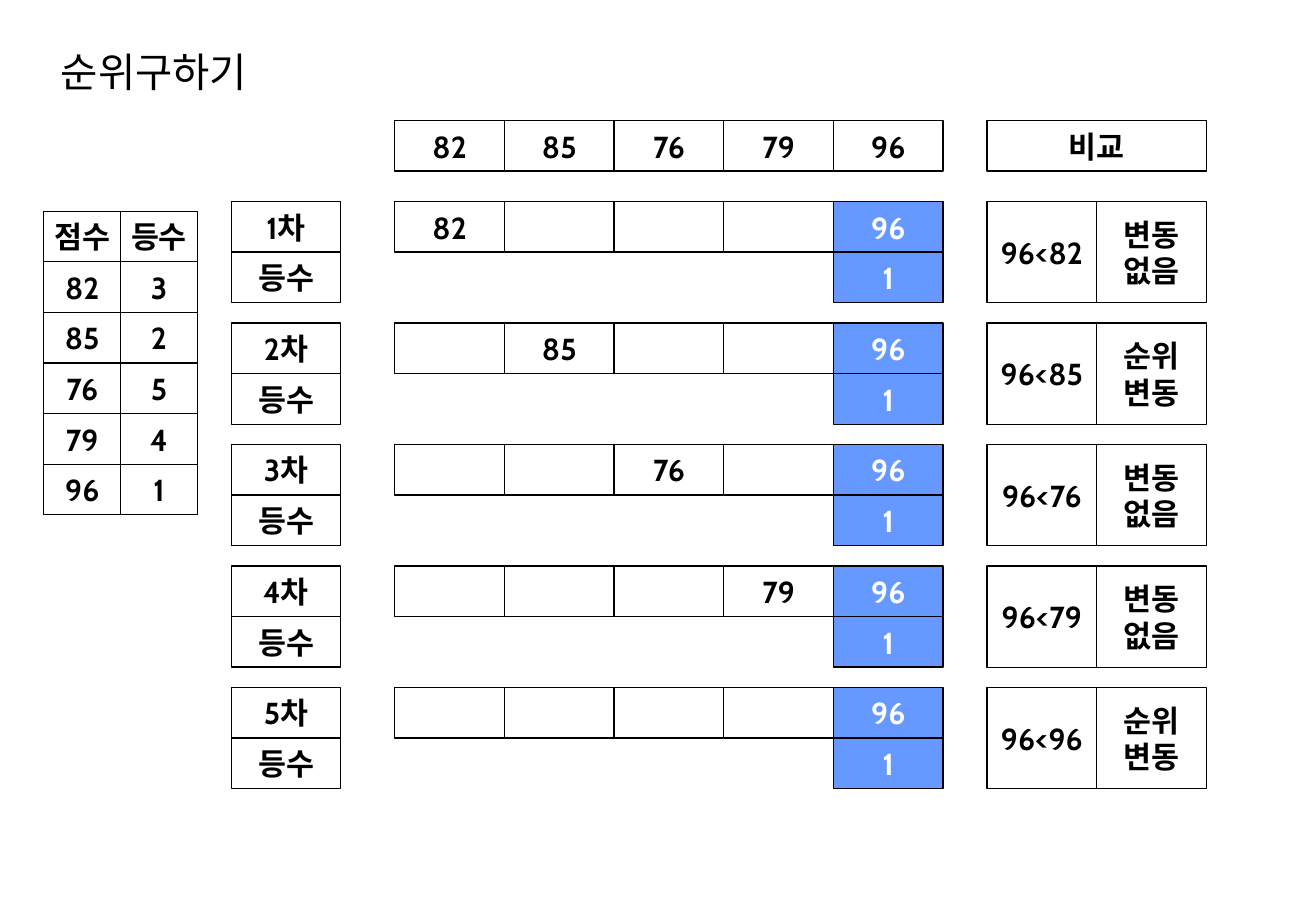
import lxml.etree
import pptx
import pptx.dml.color
import pptx.enum.shapes
import pptx.enum.text
import pptx.oxml.ns
import pptx.util

Pt = pptx.util.Pt
COLORS = {"black": "000000", "white": "FFFFFF", "blue": "6699FF"}
KOREAN_FONT = "Noto Sans CJK KR"
CELL_WIDTH, CELL_HEIGHT = 65, 30
LABEL_LEFT, ARRAY_LEFT, COMPARE_LEFT = 137, 234, 585
HEADER_TOP, ROUND_TOP, ROUND_STEP = 71.5, 119.5, 72
RANK_LEFT, RANK_TOP, RANK_WIDTH = 26, 125.25, 45.5


def write_text(shape, text, font_name, size, color, bold, alignment):
    shape.text_frame.text = text
    shape.text_frame.vertical_anchor = pptx.enum.text.MSO_ANCHOR.MIDDLE
    for para in shape.text_frame.paragraphs:
        para.alignment = alignment
        para.font.name = font_name
        para.font.size = Pt(size)
        para.font.bold = bold
        para.font.color.rgb = pptx.dml.color.RGBColor.from_string(COLORS[color])
        defaults = para._p.pPr.find(pptx.oxml.ns.qn("a:defRPr"))
        east_asian = lxml.etree.SubElement(defaults, pptx.oxml.ns.qn("a:ea"))
        east_asian.set("typeface", KOREAN_FONT)


def add_cell(left, top, text="", width=CELL_WIDTH, height=CELL_HEIGHT, fill="white", color="black"):
    cell = page.shapes.add_shape(
        pptx.enum.shapes.MSO_SHAPE.RECTANGLE, Pt(left), Pt(top), Pt(width), Pt(height)
    )
    cell.shadow.inherit = False
    cell.fill.solid()
    cell.fill.fore_color.rgb = pptx.dml.color.RGBColor.from_string(COLORS[fill])
    cell.line.color.rgb = pptx.dml.color.RGBColor.from_string(COLORS["black"])
    cell.line.width = Pt(0.75)
    cell.text_frame.word_wrap = False
    if text:
        write_text(cell, text, "Cabin", 18, color, True, pptx.enum.text.PP_ALIGN.CENTER)


deck = pptx.Presentation()
deck.slide_width = Pt(780)
deck.slide_height = Pt(540)
page = deck.slides.add_slide(deck.slide_layouts[6])

title = page.shapes.add_textbox(Pt(29), Pt(23), Pt(451), Pt(39))
title.text_frame.word_wrap = True
write_text(title, "순위구하기", KOREAN_FONT, 24, "black", False, pptx.enum.text.PP_ALIGN.LEFT)

scores = [82, 85, 76, 79, 96]
ranks = [3, 2, 5, 4, 1]
last = len(scores) - 1

for column, score in enumerate(scores):
    add_cell(ARRAY_LEFT + column * CELL_WIDTH, HEADER_TOP, str(score))
add_cell(COMPARE_LEFT, HEADER_TOP, "비교", width=2 * CELL_WIDTH)

results = ["변동\n없음", "순위\n변동", "변동\n없음", "변동\n없음", "순위\n변동"]
for index, (score, result) in enumerate(zip(scores, results)):
    top = ROUND_TOP + index * ROUND_STEP
    add_cell(LABEL_LEFT, top, f"{index + 1}차")
    add_cell(LABEL_LEFT, top + CELL_HEIGHT, "등수")
    for column in range(last):
        text = str(score) if column == index else ""
        add_cell(ARRAY_LEFT + column * CELL_WIDTH, top, text)
    for row, value in enumerate([scores[last], ranks[last]]):
        add_cell(ARRAY_LEFT + last * CELL_WIDTH, top + row * CELL_HEIGHT, str(value),
                 fill="blue", color="white")
    for column, text in enumerate([f"{scores[last]}<{score}", result]):
        add_cell(COMPARE_LEFT + column * CELL_WIDTH, top, text, height=2 * CELL_HEIGHT)

for column, values in enumerate([["점수", *scores], ["등수", *ranks]]):
    for row, value in enumerate(values):
        add_cell(RANK_LEFT + column * RANK_WIDTH, RANK_TOP + row * CELL_HEIGHT, str(value),
                 width=RANK_WIDTH)

deck.save("out.pptx")
